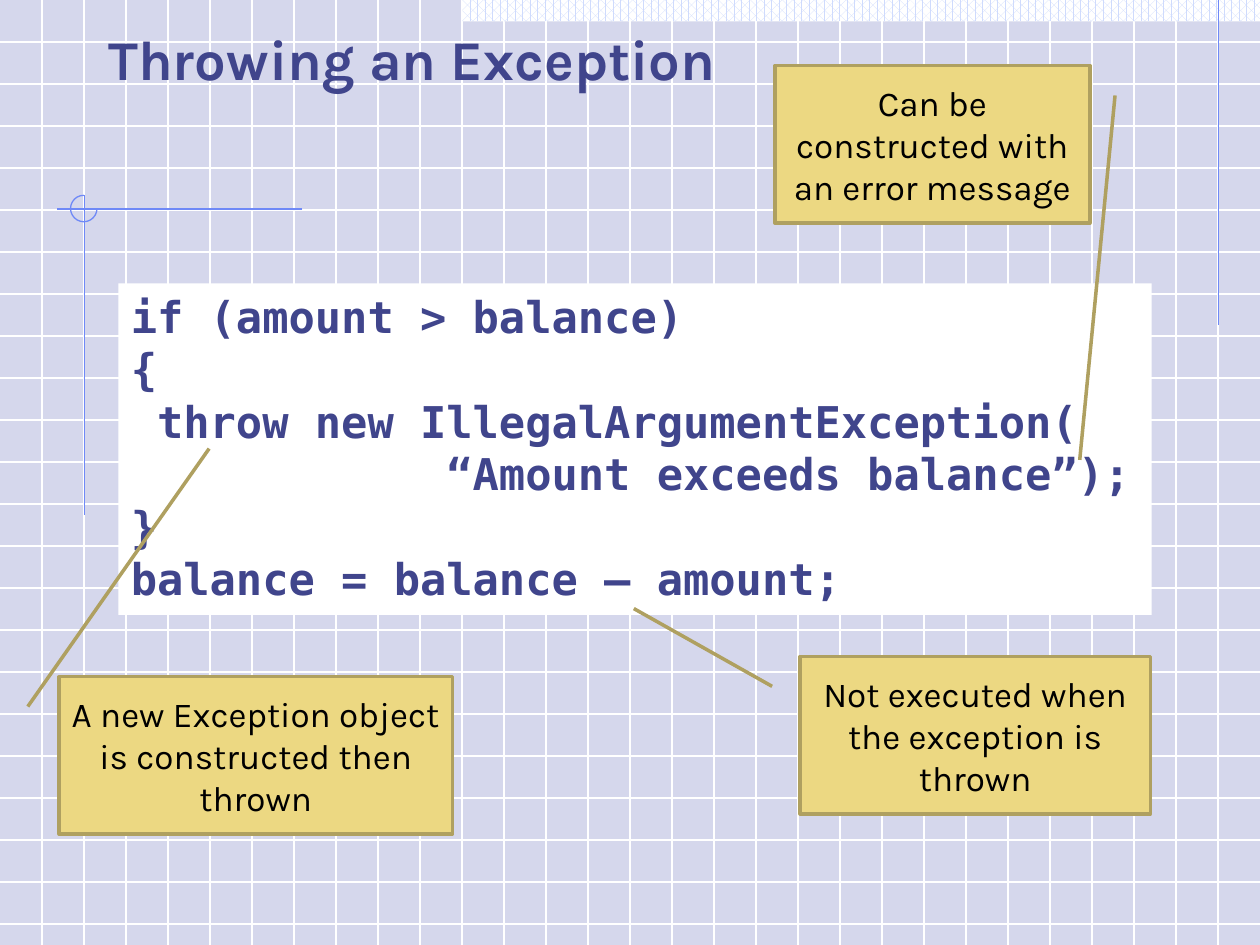
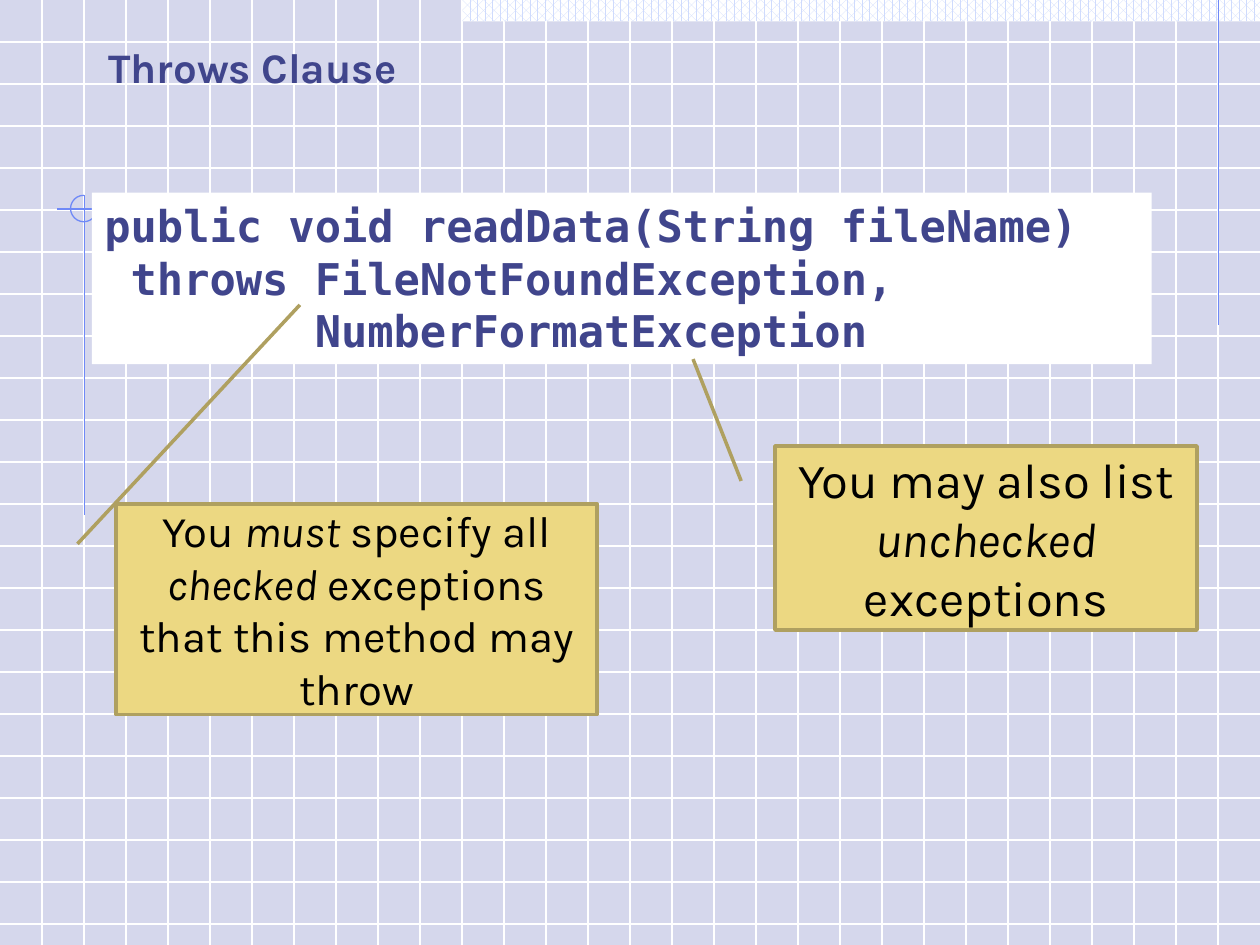
from lxml import etree
from pptx import Presentation
from pptx.dml.color import RGBColor
from pptx.enum import dml, shapes, text
from pptx.oxml.ns import qn
from pptx.util import Inches, Pt

# Shared style
BACKGROUND, WHITE, BLACK = "D5D7EC", "FFFFFF", "000000"
GRID, ACCENT, INK = "CFDBFD", "6F89F7", "40458C"
NOTE_FILL, NOTE_LINE = "ECD882", "AFA060"
BODY_FONT, CODE_FONT = "Karla", "DejaVu Sans Mono"
WIDTH, HEIGHT = 10, 7.5
GRID_STEP = 1 / 3


def rgb(value):
    return RGBColor.from_string(value)


def inches(*values):
    return [Inches(value) for value in values]


class Deck:
    def __init__(self):
        self.presentation = Presentation()
        self.presentation.slide_width, self.presentation.slide_height = inches(WIDTH, HEIGHT)
        self.layout = self.presentation.slide_layouts.get_by_name("Title Only")
        background = self.presentation.slide_master.background.fill
        background.solid()
        background.fore_color.rgb = rgb(BACKGROUND)
        self.slide = None

    def start_slide(self, title, size):
        self.slide = self.presentation.slides.add_slide(self.layout)
        shape = self.slide.shapes.title
        shape.left, shape.top, shape.width, shape.height = inches(0.86, 0.32, 8.27, 0.41)
        frame = shape.text_frame
        frame.text = title
        frame.auto_size = text.MSO_AUTO_SIZE.NONE
        frame.vertical_anchor = text.MSO_ANCHOR.BOTTOM
        frame.margin_left = frame.margin_right = frame.margin_top = frame.margin_bottom = 0
        frame.paragraphs[0].alignment = text.PP_ALIGN.LEFT
        self.style_run(frame.paragraphs[0].runs[0], BODY_FONT, size, INK, bold=True)

    def style_run(self, run, font, size, color, bold=False, italic=False):
        run.font.name = font
        run.font.size = Pt(size)
        run.font.color.rgb = rgb(color)
        run.font.bold = bold
        run.font.italic = italic

    def pattern(self, fill):
        fill.patterned()
        fill.pattern = dml.MSO_PATTERN.PERCENT_60
        fill.fore_color.rgb = rgb(GRID)
        fill.back_color.rgb = rgb(WHITE)

    def line(self, group, x1, y1, x2, y2, color=None):
        """Draw a thin rule; without a colour it takes the grid pattern."""
        connector = group.shapes.add_connector(
            shapes.MSO_CONNECTOR.STRAIGHT, *inches(x1, y1, x2, y2))
        connector.line.width = Pt(0.75)
        if color:
            connector.line.color.rgb = rgb(color)
        else:
            self.pattern(connector.line.fill)
        etree.SubElement(connector.element.spPr, qn("a:effectLst"))

    def backdrop(self):
        """Draw the shared decoration and hand it to the layout."""
        group = self.slide.shapes.add_group_shape()

        # Grid
        for row in range(1, int(HEIGHT / GRID_STEP) + 1):
            self.line(group, 0, row * GRID_STEP, WIDTH, row * GRID_STEP)
        for column in range(1, round(WIDTH / GRID_STEP)):
            self.line(group, column * GRID_STEP, 0, column * GRID_STEP, HEIGHT)

        # Top band
        band = group.shapes.add_shape(
            shapes.MSO_SHAPE.RECTANGLE, *inches(3.67, 0, 6.33, 0.17))
        band.shadow.inherit = False
        self.pattern(band.fill)
        band.line.fill.background()

        # Accent rules and the three-quarter circle
        self.line(group, 9.67, 0, 9.67, 2.58, ACCENT)
        self.line(group, 2.4, 1.66, 0.45, 1.66, ACCENT)
        self.line(group, 0.67, 1.55, 0.67, 4.09, ACCENT)
        arc = group.shapes.add_shape(shapes.MSO_SHAPE.ARC, *inches(0.56, 1.55, 0.21, 0.21))
        arc.shadow.inherit = False
        arc.adjustments[0], arc.adjustments[1] = 0, 162  # 0 to 270 degrees
        arc.fill.background()
        arc.line.color.rgb = rgb(ACCENT)
        arc.line.width = Pt(0.75)

        # Behind the layout's placeholders, with unique ids
        tree = self.layout.shapes.element
        tree.insert(2, group.element)
        for number, properties in enumerate(tree.iter(qn("p:cNvPr")), 1):
            properties.set("id", str(number))

    def code(self, box, lines, wrap=True):
        shape = self.slide.shapes.add_textbox(*inches(*box))
        shape.fill.solid()
        shape.fill.fore_color.rgb = rgb(WHITE)
        frame = shape.text_frame
        frame.word_wrap = wrap
        frame.auto_size = text.MSO_AUTO_SIZE.SHAPE_TO_FIT_TEXT
        frame.text = "\n".join(lines)
        for paragraph in frame.paragraphs:
            self.style_run(paragraph.runs[0], CODE_FONT, 25, INK, bold=True)

    def callout(self, box, target, message, size, from_right=False):
        """Add a note whose leader ends at target; *stars* mark italics."""
        left, top, width, height = box
        shape = self.slide.shapes.add_shape(shapes.MSO_SHAPE.LINE_CALLOUT_1, *inches(*box))
        shape.shadow.inherit = False
        leader = (0.19, 1.08 if from_right else -0.08,
                  (target[1] - top) / height, (target[0] - left) / width)
        for index, value in enumerate(leader):
            shape.adjustments[index] = value
        shape.fill.solid()
        shape.fill.fore_color.rgb = rgb(NOTE_FILL)
        shape.line.color.rgb = rgb(NOTE_LINE)
        shape.line.width = Pt(2)
        frame = shape.text_frame
        frame.word_wrap = True
        frame.vertical_anchor = text.MSO_ANCHOR.MIDDLE
        paragraph = frame.paragraphs[0]
        paragraph.alignment = text.PP_ALIGN.CENTER
        for index, part in enumerate(message.split("*")):
            run = paragraph.add_run()
            run.text = part
            self.style_run(run, BODY_FONT, size, BLACK, italic=index % 2 == 1)


def main():
    deck = Deck()

    # Throwing an exception
    deck.start_slide("Throwing an Exception", 32)
    deck.backdrop()
    deck.code((0.94, 2.25, 8.2, 2.63), [
        "if (amount > balance)",
        "{",
        " throw new IllegalArgumentException(",
        "            “Amount exceeds balance”);",
        "}",
        "balance = balance – amount;",
    ], wrap=False)
    deck.callout((6.15, 0.52, 2.5, 1.25), (8.57, 3.65),
                 "Can be constructed with an error message", 20, from_right=True)
    deck.callout((0.47, 5.37, 3.12, 1.25), (1.66, 3.56),
                 "A new Exception object is constructed then thrown", 20)
    deck.callout((6.35, 5.21, 2.78, 1.25), (5.03, 4.83),
                 "Not executed when the exception is thrown", 20)

    # Throws clause
    deck.start_slide("Throws Clause", 24)
    deck.code((0.73, 1.53, 8.41, 1.36), [
        "public void readData(String fileName)",
        " throws FileNotFoundException,",
        "        NumberFormatException",
    ])
    deck.callout((0.92, 4, 3.82, 1.67), (2.38, 2.42),
                 "You *must* specify all *checked* exceptions that this method may throw", 25)
    deck.callout((6.15, 3.54, 3.35, 1.46), (5.5, 2.85),
                 "You may also list *unchecked* exceptions", 28)

    deck.presentation.save("out.pptx")


if __name__ == "__main__":
    main()
